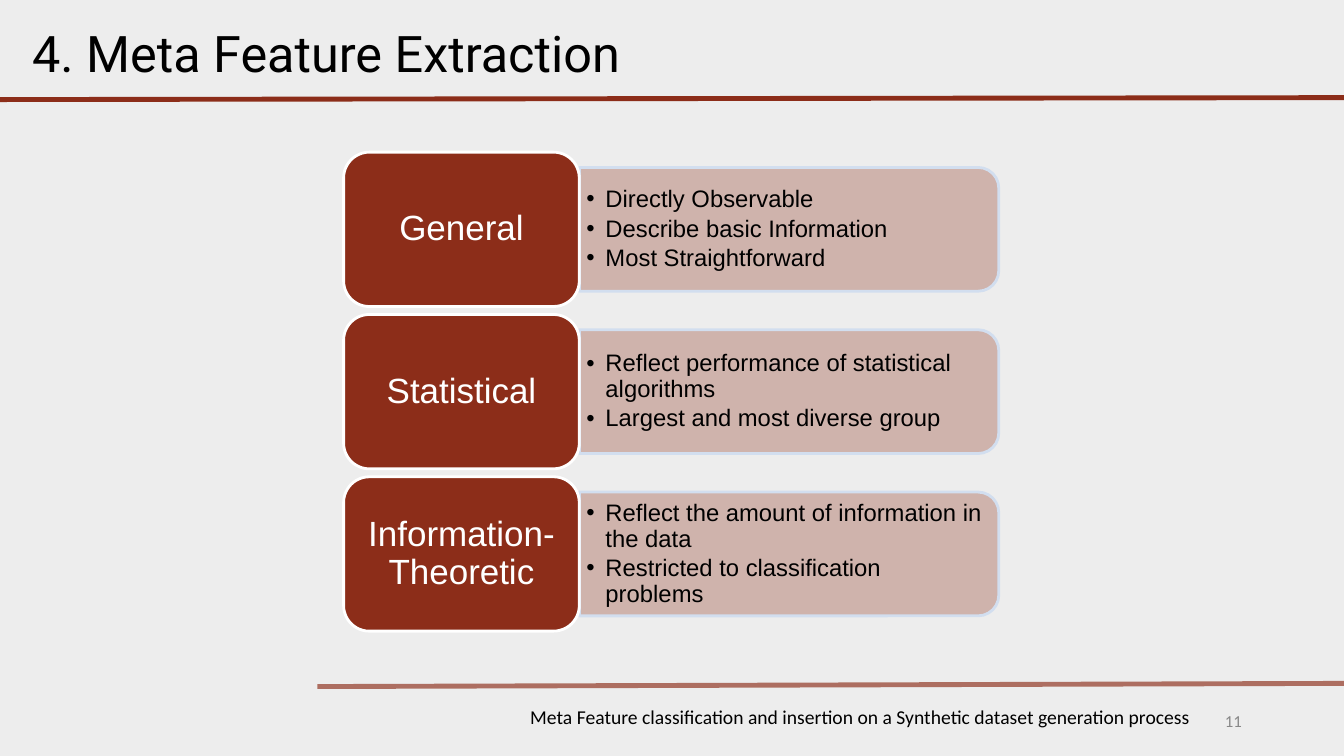
from lxml.etree import SubElement
from pptx import Presentation
from pptx.dml.color import RGBColor
from pptx.enum.shapes import MSO_CONNECTOR as Connector, MSO_SHAPE as Preset
from pptx.enum.text import MSO_ANCHOR as Anchor, PP_ALIGN as Align
from pptx.oxml.ns import qn
from pptx.util import Cm, Pt

TITLE = "4. Meta Feature Extraction"
FOOTER = "Meta Feature classification and insertion on a Synthetic dataset generation process"
PAGE = "11"
GROUPS = [
    ("General", ["Directly Observable", "Describe basic Information", "Most Straightforward"]),
    ("Statistical", ["Reflect performance of statistical algorithms", "Largest and most diverse group"]),
    ("Information-Theoretic", ["Reflect the amount of information in the data",
                               "Restricted to classification problems"]),
]
RULES = [((0, 2.51), (33.87, 2.46), 100), ((8, 17.3), (33.87, 17.22), 65)]

BACKGROUND, RUST, PALE_BLUE = "EDEDED", "8C2D19", "D2DEEF"
WHITE, BLACK, GREY = "FFFFFF", "000000", "888888"

LABEL_LEFT, LABEL_WIDTH, LABEL_HEIGHT = 8.66, 5.94, 3.89
FIRST_MIDDLE, ROW_PITCH = 5.78, 4.09
DETAIL_LEFT = LABEL_LEFT + LABEL_WIDTH
PANEL_LENGTH, PANEL_DEPTH = 10.57, 3.12
POINTS_WIDTH, POINTS_HEIGHT, POINTS_SIZE = 10.41, 2.82, 17


def paint(color_format, color, opacity=100):
    color_format.rgb = RGBColor.from_string(color)
    if opacity < 100:
        for srgb in color_format._xFill.iter(qn("a:srgbClr")):
            SubElement(srgb, qn("a:alpha"), val=str(opacity * 1000))


def write(paragraph, text, size, font, color):
    run = paragraph.add_run()
    run.text = text
    run.font.size = Pt(size)
    run.font.name = font
    paint(run.font.color, color)


def add_text_frame(left, top, width, height, anchor=Anchor.TOP):
    frame = slide.shapes.add_textbox(Cm(left), Cm(top), Cm(width), Cm(height)).text_frame
    frame.word_wrap = True
    frame.vertical_anchor = anchor
    return frame


def add_line_of_text(box, text, size, font, color, align, anchor=Anchor.TOP):
    paragraph = add_text_frame(*box, anchor).paragraphs[0]
    paragraph.alignment = align
    write(paragraph, text, size, font, color)


def add_rounded(preset, left, top, width, height, opacity, outline):
    shape = slide.shapes.add_shape(preset, Cm(left), Cm(top), Cm(width), Cm(height))
    shape.shadow.inherit = False
    shape.fill.solid()
    paint(shape.fill.fore_color, RUST, opacity)
    shape.line.fill.solid()
    paint(shape.line.color, outline)
    shape.line.width = Pt(2)
    return shape


def add_rule(start, end, opacity):
    rule = slide.shapes.add_connector(Connector.STRAIGHT, *map(Cm, start + end))
    rule.line.fill.solid()
    rule.line.fill.fore_color.rgb = RGBColor.from_string(RUST)
    if opacity < 100:
        for srgb in rule.line._ln.iter(qn("a:srgbClr")):
            SubElement(srgb, qn("a:alpha"), val=str(opacity * 1000))
    rule.line.width = Pt(3.5)
    SubElement(rule._element.spPr, qn("a:effectLst"))


def add_bullet(paragraph):
    properties = paragraph._p.get_or_add_pPr()
    properties.set("marL", str(Cm(0.48)))
    properties.set("indent", str(-Cm(0.48)))
    bullet_color = SubElement(properties, qn("a:buClr"))
    SubElement(bullet_color, qn("a:srgbClr"), val=BLACK)
    SubElement(properties, qn("a:buFont"), typeface="Arial")
    SubElement(properties, qn("a:buChar"), char="•")


def add_points(points, middle):
    frame = add_text_frame(DETAIL_LEFT, middle - POINTS_HEIGHT / 2,
                           POINTS_WIDTH, POINTS_HEIGHT, Anchor.MIDDLE)
    frame.margin_left = frame.margin_right = Cm(0.18)
    frame.margin_top = frame.margin_bottom = Cm(0.1)
    for index, point in enumerate(points):
        paragraph = frame.add_paragraph() if index else frame.paragraphs[0]
        add_bullet(paragraph)
        paragraph.level = 1
        paragraph.line_spacing = 0.9
        paragraph.space_after = Pt(POINTS_SIZE * 0.15)
        write(paragraph, point, POINTS_SIZE, "Arial", BLACK)


def add_group(label, points, middle):
    panel = add_rounded(Preset.ROUND_2_SAME_RECTANGLE,
                        DETAIL_LEFT + (PANEL_LENGTH - PANEL_DEPTH) / 2, middle - PANEL_LENGTH / 2,
                        PANEL_DEPTH, PANEL_LENGTH, 30, PALE_BLUE)
    panel.rotation = 90
    add_points(points, middle)
    tile = add_rounded(Preset.ROUNDED_RECTANGLE, LABEL_LEFT, middle - LABEL_HEIGHT / 2,
                       LABEL_WIDTH, LABEL_HEIGHT, 100, WHITE)
    tile.text_frame.word_wrap = True
    tile.text_frame.vertical_anchor = Anchor.MIDDLE
    heading = tile.text_frame.paragraphs[0]
    heading.alignment = Align.CENTER
    heading.line_spacing = 0.9
    write(heading, label, 25, "Arial", WHITE)


deck = Presentation()
deck.slide_width, deck.slide_height = Cm(33.87), Cm(19.05)
slide = deck.slides.add_slide(deck.slide_layouts[6])
slide.background.fill.solid()
paint(slide.background.fill.fore_color, BACKGROUND)

for rule in RULES:
    add_rule(*rule)
add_line_of_text((0.56, 0.43, 32.74, 1.8), TITLE, 36, "Roboto", BLACK, Align.LEFT)
add_line_of_text((11.18, 17.65, 21, 1.02), FOOTER, 14, "Calibri", BLACK, Align.CENTER)
add_line_of_text((23.93, 17.65, 7.62, 1.02), PAGE, 12, "Calibri", GREY, Align.RIGHT, Anchor.MIDDLE)
for row, (label, points) in enumerate(GROUPS):
    add_group(label, points, FIRST_MIDDLE + row * ROW_PITCH)

deck.save("out.pptx")
